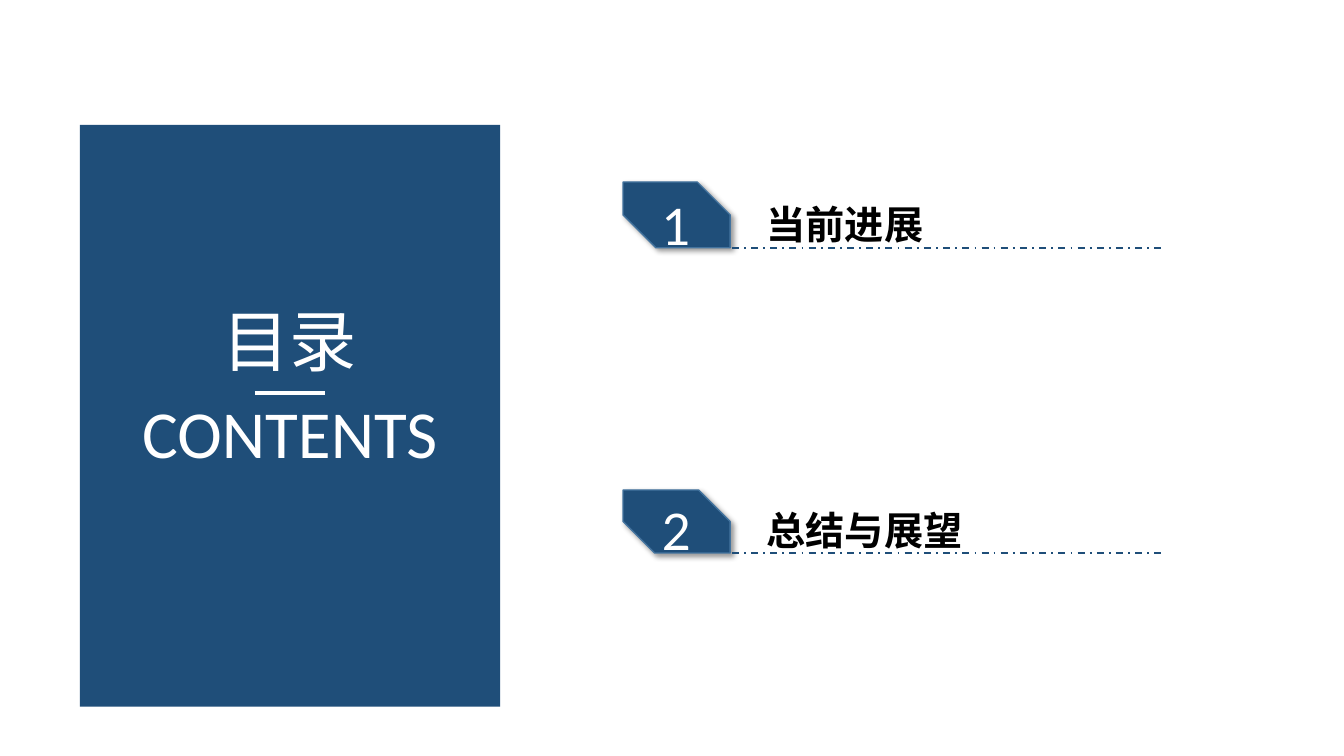
from lxml import etree
from pptx import Presentation
from pptx.dml.color import RGBColor
from pptx.enum import dml, shapes, text
from pptx.oxml import ns
from pptx.util import Pt

COLORS = {"navy": "1F4E79", "edge": "43739E", "white": "FFFFFF", "black": "000000"}
LABEL = {"name": "Calibri", "size": Pt(48)}
NUMBER = {"name": "Lato", "size": Pt(36)}
TITLE = {"name": "Calibri", "size": Pt(28), "bold": True}


def rgb(name):
    return RGBColor.from_string(COLORS[name])


def points(*lengths):
    return [Pt(length) for length in lengths]


def add_block(slide, preset, box):
    block = slide.shapes.add_shape(preset, *points(*box))
    block.shadow.inherit = False
    block.fill.solid()
    block.fill.fore_color.rgb = rgb("navy")
    block.line.fill.background()
    return block


def add_rule(slide, left, right, y, color, width):
    rule = slide.shapes.add_connector(
        shapes.MSO_CONNECTOR.STRAIGHT, *points(left, y, right, y))
    rule.line.color.rgb = rgb(color)
    rule.line.width = Pt(width)
    etree.SubElement(rule._element.spPr, ns.qn("a:effectLst"))
    return rule


def add_words(slide, box, words, font, color, wrap=True):
    frame = slide.shapes.add_textbox(*points(*box)).text_frame
    frame.word_wrap = wrap
    frame.auto_size = text.MSO_AUTO_SIZE.SHAPE_TO_FIT_TEXT
    paragraph = frame.paragraphs[0]
    run = paragraph.add_run()
    run.text = words
    for attribute, value in font.items():
        setattr(run.font, attribute, value)
    run.font.color.rgb = rgb(color)
    return paragraph


def cast_shadow(block):
    """Give the block a soft shadow towards the lower right."""
    effects = block._element.spPr.find(ns.qn("a:effectLst"))
    shadow = etree.SubElement(
        effects, ns.qn("a:outerShdw"), blurRad=str(Pt(4)), dist=str(Pt(3)),
        dir=str(45 * 60000), algn="tl", rotWithShape="0")
    shade = etree.SubElement(shadow, ns.qn("a:srgbClr"), val=COLORS["black"])
    etree.SubElement(shade, ns.qn("a:alpha"), val="40000")


def draw_heading_panel(slide, left, top, width, height):
    add_block(slide, shapes.MSO_SHAPE.RECTANGLE, (left, top, width, height))
    add_words(slide, (left + 94.5, top + 121, 112, 65.5), "目录", LABEL, "white", wrap=False)
    add_words(slide, (left + 37.5, top + 186.5, 225.5, 65.5), "CONTENTS", LABEL,
              "white", wrap=False)
    add_rule(slide, left + 125, left + 175, top + 191.5, "white", 2.75)


def draw_entry(slide, left, top, width, height, number, title):
    """Place a numbered badge and its title on a dashed base line."""
    base = top + height
    badge = add_block(slide, shapes.MSO_SHAPE.SNIP_2_DIAG_RECTANGLE,
                      (left, top, 76.5, height))
    badge.adjustments[0], badge.adjustments[1] = 0, 0.5
    badge.line.color.rgb = rgb("edge")
    badge.line.width = Pt(1)
    cast_shadow(badge)

    digit = add_words(slide, (left + 10.5, base - 41, 55.5, 51), str(number),
                      NUMBER, "white")
    digit.alignment = text.PP_ALIGN.CENTER
    rule = add_rule(slide, left + 77.75, left + width, base, "navy", 1.25)
    rule.line.dash_style = dml.MSO_LINE.DASH_DOT
    heading = add_words(slide, (left + 95.5, base - 54, 253.5, 58.5), title,
                        TITLE, "black")
    heading.line_spacing = 1.5


def main():
    deck = Presentation()
    deck.slide_width, deck.slide_height = points(960, 540)
    slide = deck.slides.add_slide(deck.slide_layouts[6])
    draw_heading_panel(slide, 57, 89.25, 300.25, 415.5)
    entries = [("当前进展", 130, 47), ("总结与展望", 350, 45)]
    for number, (title, top, height) in enumerate(entries, 1):
        draw_entry(slide, 445, top, 384, height, number, title)
    deck.save("out.pptx")


if __name__ == "__main__":
    main()
